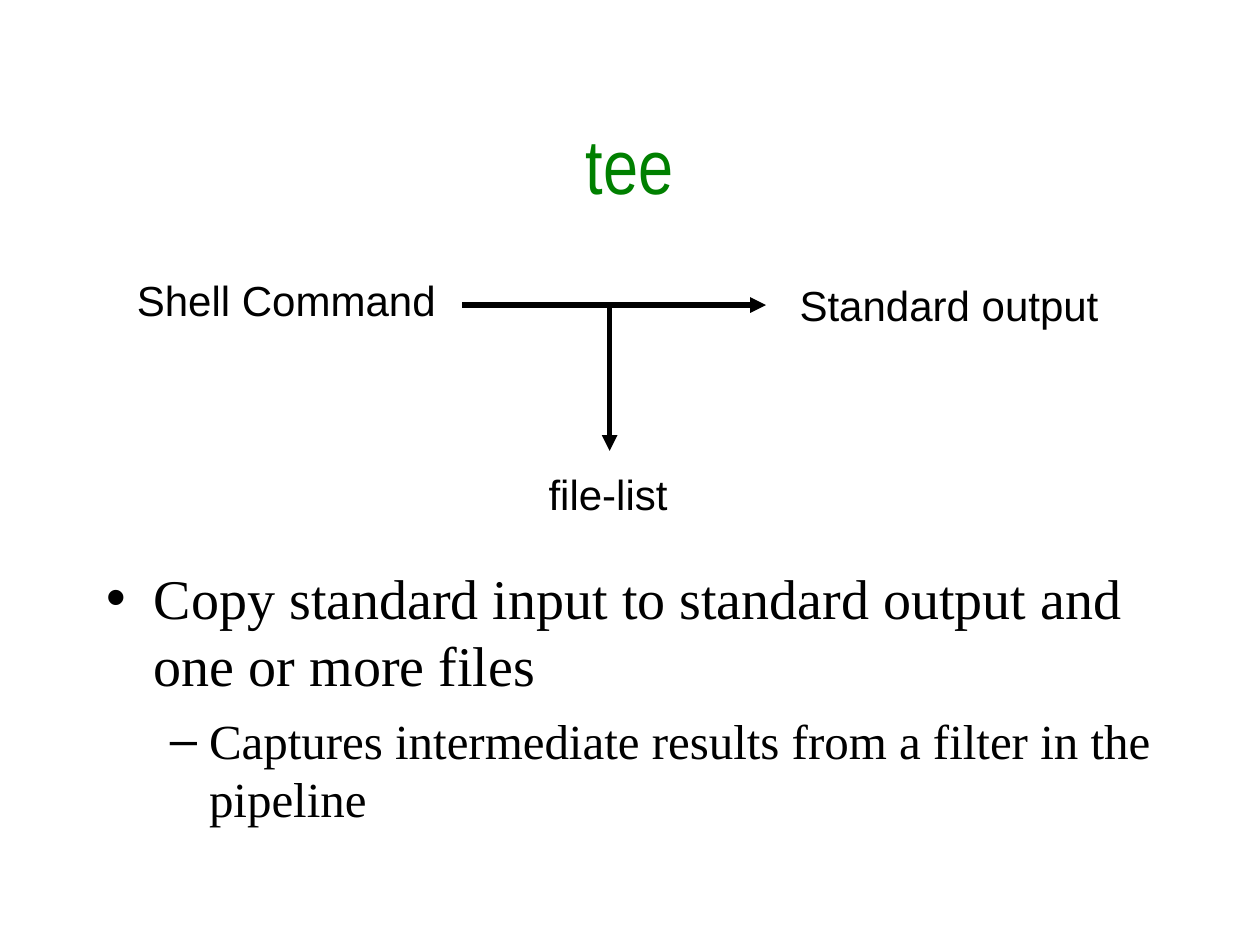
from pptx import Presentation
from pptx.dml.color import RGBColor
from pptx.enum.shapes import MSO_CONNECTOR
from pptx.enum.text import MSO_ANCHOR, MSO_AUTO_SIZE, PP_ALIGN
from pptx.oxml.ns import qn
from pptx.util import Cm, Pt
from lxml.etree import SubElement

BLACK = "000000"
GREEN = "008000"


def color(value):
    """Turn a hex string into a colour."""
    return RGBColor.from_string(value)


def place(shape, box):
    """Move a shape to a box of left, top, width and height in centimetres."""
    shape.left, shape.top, shape.width, shape.height = (Cm(length) for length in box)


def style(paragraph, font_name, size, value):
    """Format every run of a paragraph."""
    for span in paragraph.runs:
        span.font.name = font_name
        span.font.size = Pt(size)
        span.font.color.rgb = color(value)


def set_bullet(paragraph, character, margin, hanging):
    """Give a paragraph a bullet and a hanging indent in centimetres."""
    properties = paragraph._p.get_or_add_pPr()
    properties.set("marL", str(Cm(margin)))
    properties.set("indent", str(-Cm(hanging)))
    SubElement(properties, qn("a:buChar")).set("char", character)


def add_title(page, box, text):
    """Fill the title placeholder."""
    title = page.shapes.title
    place(title, box)
    frame = title.text_frame
    frame.text = text
    frame.auto_size = MSO_AUTO_SIZE.NONE
    frame.vertical_anchor = MSO_ANCHOR.MIDDLE
    frame.paragraphs[0].alignment = PP_ALIGN.CENTER
    style(frame.paragraphs[0], "Arial Narrow", 44, GREEN)


def add_body(page, box, items):
    """Fill the body placeholder with a two-level list."""
    levels = [("•", 0.95, 0.95, 32, 8), ("–", 2.06, 0.79, 28, 7)]
    body = page.placeholders[1]
    place(body, box)
    frame = body.text_frame
    frame.text = "\n".join(text for _, text in items)
    frame.auto_size = MSO_AUTO_SIZE.NONE
    for paragraph, (level, _) in zip(frame.paragraphs, items):
        character, margin, hanging, size, space = levels[level]
        paragraph.level = level
        paragraph.space_before = Pt(space)
        set_bullet(paragraph, character, margin, hanging)
        style(paragraph, "Times New Roman", size, BLACK)


def add_label(page, box, text):
    """Add a one-line label."""
    frame_box = page.shapes.add_textbox(*(Cm(length) for length in box))
    frame = frame_box.text_frame
    frame.text = text
    frame.word_wrap = False
    frame.vertical_anchor = MSO_ANCHOR.MIDDLE
    style(frame.paragraphs[0], "Arial", 24, BLACK)


def add_arrow(page, start, end):
    """Add a straight arrow between two points in centimetres."""
    points = (Cm(length) for length in (*start, *end))
    arrow = page.shapes.add_connector(MSO_CONNECTOR.STRAIGHT, *points)
    arrow.line.color.rgb = color(BLACK)
    arrow.line.width = Pt(3)
    SubElement(arrow.line._get_or_add_ln(), qn("a:tailEnd")).set("type", "triangle")
    SubElement(arrow._element.spPr, qn("a:effectLst"))


def add_flow(page, box):
    """Draw the command output splitting into two destinations."""
    left, top, width, height = box
    row = 1.27
    axis = top + 0.74
    branch = left + 9.78
    add_arrow(page, (left + 6.81, axis), (left + 12.93, axis))
    add_arrow(page, (branch, axis), (branch, top + 3.68))
    add_label(page, (left, top, 6.6, row), "Shell Command")
    add_label(page, (left + width - 6.53, top + 0.1, 6.53, row), "Standard output")
    add_label(page, (branch - 1.48, top + height - row, 2.92, row), "file-list")


def main():
    """Build the slide and save it."""
    deck = Presentation()
    deck.slide_width, deck.slide_height = Cm(25.4), Cm(19.05)
    page = deck.slides.add_slide(deck.slide_layouts[1])
    add_title(page, (1.9, 1.7, 21.59, 3.18), "tee")
    add_body(page, (1.9, 11.23, 21.59, 6.78), [
        (0, "Copy standard input to standard output and one or more files"),
        (1, "Captures intermediate results from a filter in the pipeline"),
    ])
    add_flow(page, (2.51, 5.41, 19.89, 5.18))
    deck.save("out.pptx")


if __name__ == "__main__":
    main()
